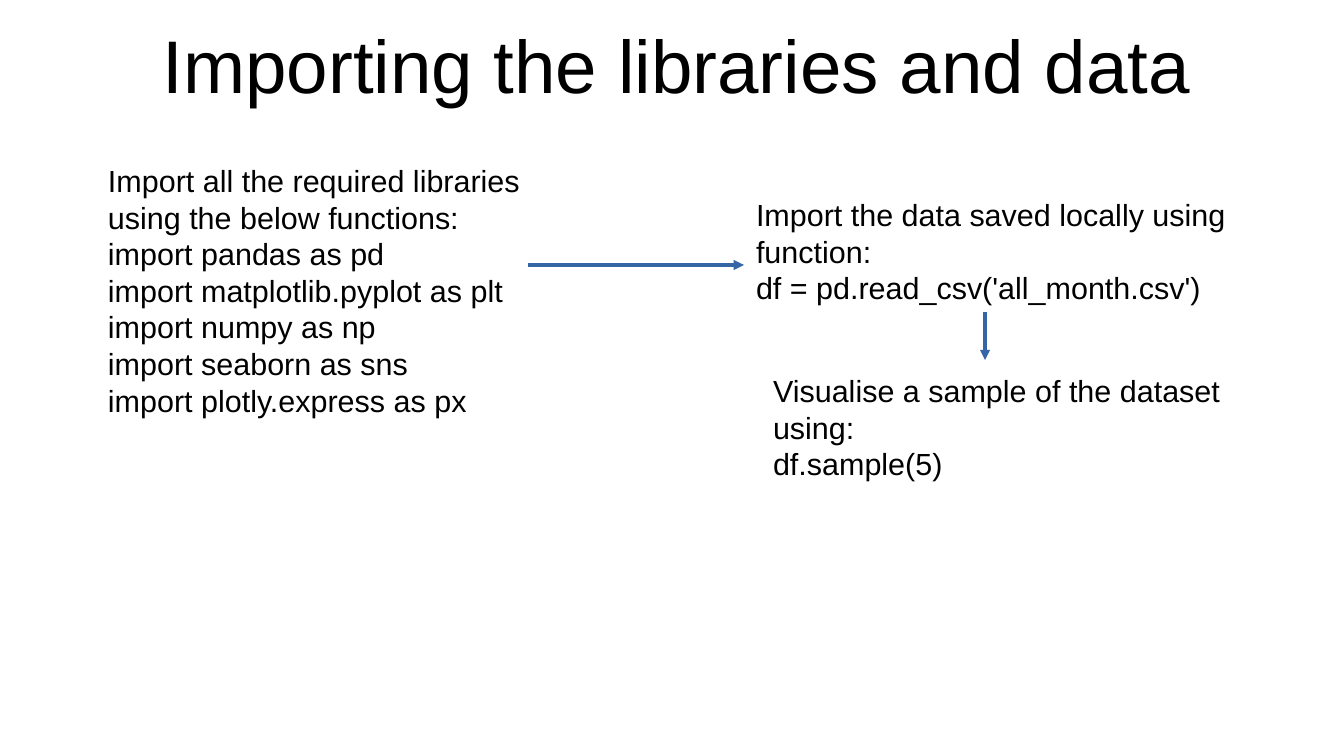
from pptx import Presentation
from pptx.dml.color import RGBColor as RGB
from pptx.enum.shapes import MSO_CONNECTOR as CONN
from pptx.enum.text import MSO_ANCHOR as ANCHOR, MSO_AUTO_SIZE as AUTO, PP_ALIGN as ALIGN
from pptx.oxml.ns import qn
from pptx.util import Pt
from lxml.etree import SubElement

PX = 7495  # EMU per px, 122 px to the inch
COLORS = {"text": "000000", "arrow": "3465A4"}
FONT = "Arial"

LIBRARIES = [
    "Import all the required libraries using the below functions:",
    "import pandas as pd",
    "import matplotlib.pyplot as plt",
    "import numpy as np",
    "import seaborn as sns",
    "import plotly.express as px",
]
DATA = ["Import the data saved locally using function:", "df = pd.read_csv('all_month.csv')"]
SAMPLE = ["Visualise a sample of the dataset using:", "df.sample(5)"]


def emu(*lengths):
    return [n * PX for n in lengths]


def write(tf, lines, size=18, align=ALIGN.LEFT, anchor=ANCHOR.TOP, spacing=None):
    tf.word_wrap = True
    tf.auto_size = AUTO.NONE
    tf.vertical_anchor = anchor
    for i, line in enumerate(lines):
        p = tf.add_paragraph() if i else tf.paragraphs[0]
        p.alignment = align
        p.line_spacing = spacing
        r = p.add_run()
        r.text = line
        r.font.name = FONT
        r.font.size = Pt(size)
        r.font.color.rgb = RGB.from_string(COLORS["text"])


def add_title(s, box, text):
    sp = s.shapes.title
    sp.left, sp.top, sp.width, sp.height = emu(*box)
    tf = sp.text_frame
    tf.margin_left = tf.margin_right = tf.margin_top = tf.margin_bottom = 0
    write(tf, [text], size=44, align=ALIGN.CENTER, anchor=ANCHOR.MIDDLE)


def add_step(s, box, lines):
    sp = s.shapes.add_textbox(*emu(*box))
    write(sp.text_frame, lines, spacing=Pt(21.6))


def add_arrow(s, x1, y1, x2, y2):
    c = s.shapes.add_connector(CONN.STRAIGHT, *emu(x1, y1, x2, y2))
    c.line.color.rgb = RGB.from_string(COLORS["arrow"])
    c.line.width = 0
    SubElement(c.line._get_or_add_ln(), qn("a:tailEnd"), type="triangle")
    SubElement(c._element.spPr, qn("a:effectLst"))


def add_flow(s, box):
    x, y, w, h = box
    right = x + w
    data_x, data_w = right - 504, 504
    middle = right - 263

    # Steps
    add_step(s, (x, y, 481, 285), LIBRARIES)
    add_step(s, (data_x, y + 34, data_w, 218), DATA)
    add_step(s, (right - 487, y + h - 115, 487, 115), SAMPLE)

    # Arrows between the steps
    add_arrow(s, x + 432, y + 109, data_x, y + 109)
    add_arrow(s, middle, y + 156, middle, y + 204)


def main():
    prs = Presentation()
    prs.slide_width, prs.slide_height = emu(1344, 756)
    s = prs.slides.add_slide(prs.slide_layouts[5])
    add_title(s, (72, 0, 1210, 127), "Importing the libraries and data")
    add_flow(s, (96, 156, 1152, 325))
    prs.save("out.pptx")


if __name__ == "__main__":
    main()
